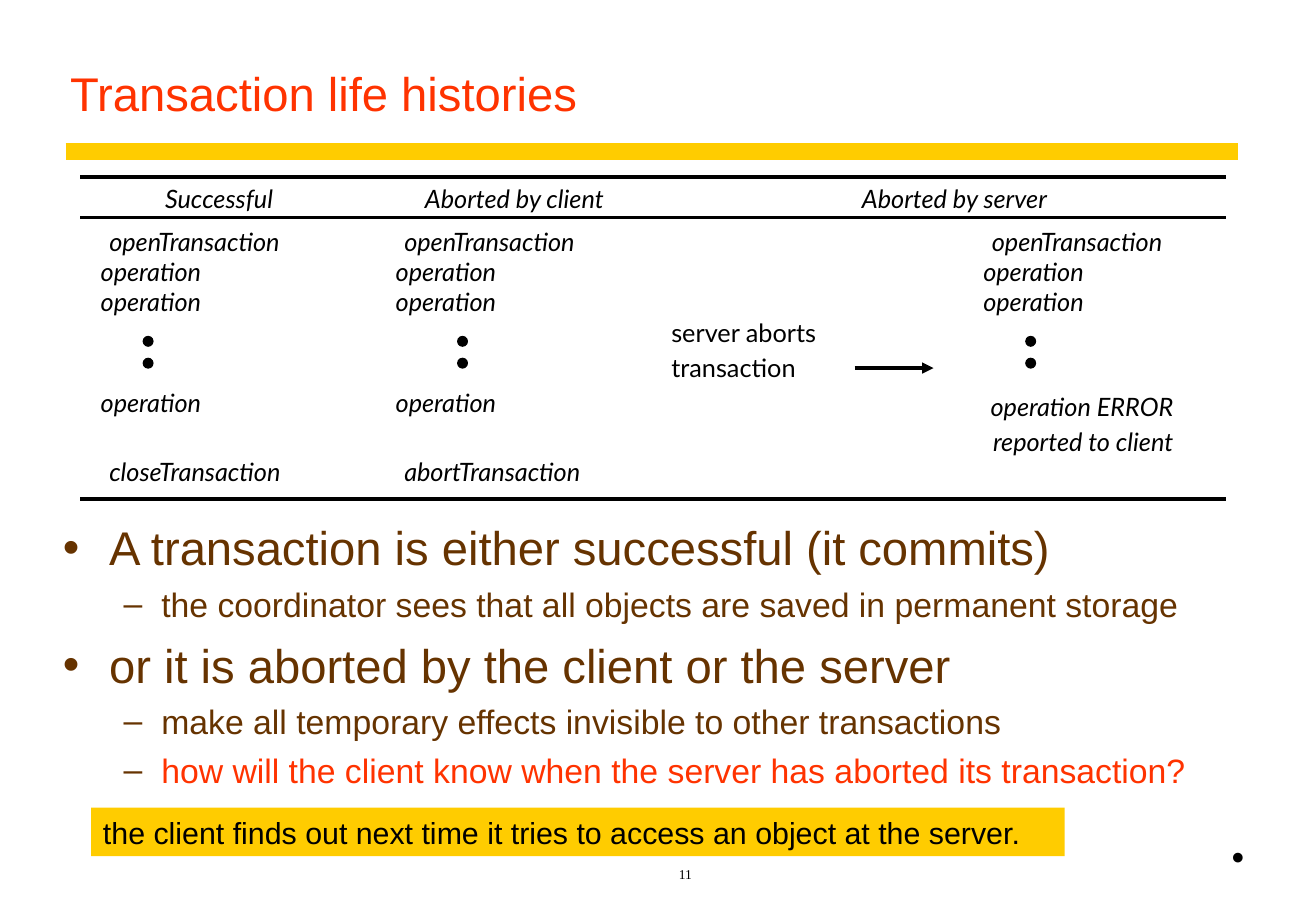
"""Build the slide on transaction life histories."""
from lxml import etree
from pptx import Presentation
from pptx.dml.color import RGBColor
from pptx.enum.shapes import MSO_CONNECTOR, MSO_SHAPE
from pptx.enum.text import MSO_ANCHOR, MSO_AUTO_SIZE, PP_ALIGN
from pptx.oxml.ns import qn
from pptx.util import Emu, Pt

STRAIGHT = MSO_CONNECTOR.STRAIGHT
OVAL, RECTANGLE = MSO_SHAPE.OVAL, MSO_SHAPE.RECTANGLE
TOP, BOTTOM = MSO_ANCHOR.TOP, MSO_ANCHOR.BOTTOM
GROW, FIXED = MSO_AUTO_SIZE.SHAPE_TO_FIT_TEXT, MSO_AUTO_SIZE.NONE
LEFT, CENTER = PP_ALIGN.LEFT, PP_ALIGN.CENTER
PX = 9144

THEME = {
    "black": RGBColor.from_string("000000"),
    "red": RGBColor.from_string("FF3300"),
    "brown": RGBColor.from_string("663300"),
    "yellow": RGBColor.from_string("FFCC00"),
    "sans": "Arial",
    "table_font": "Lato",
    "serif": "Times New Roman",
    "heading": 28,
    "detail": 20,
    "callout": 18,
    "table": 15,
    "corner": 24,
    "number": 8,
}

presentation = Presentation()
presentation.slide_width = Emu(1084 * PX)
presentation.slide_height = Emu(750 * PX)
slide = presentation.slides.add_slide(presentation.slide_layouts[6])


def write(shape, text, font, size, color="black", italic=False, margins=(10, 5),
          wrap=True, anchor=TOP, alignment=LEFT):
    frame = shape.text_frame
    frame.word_wrap = wrap
    frame.auto_size = FIXED if wrap else GROW
    frame.vertical_anchor = anchor
    frame.margin_left = frame.margin_right = Emu(margins[0] * PX)
    frame.margin_top = frame.margin_bottom = Emu(margins[1] * PX)
    paragraph = frame.paragraphs[0]
    paragraph.text = text
    paragraph.alignment = alignment
    paragraph.font.name = THEME[font]
    paragraph.font.size = Pt(THEME[size])
    paragraph.font.color.rgb = THEME[color]
    paragraph.font.italic = italic
    return paragraph


def draw_line(x1, x2, y, color, width):
    connector = slide.shapes.add_connector(
        STRAIGHT, Emu(x1 * PX), Emu(y * PX), Emu(x2 * PX), Emu(y * PX))
    connector.line.color.rgb = THEME[color]
    connector.line.width = Pt(width)
    etree.SubElement(connector._element.spPr, qn("a:effectLst"))
    return connector


draw_line(54, 1020, 125, "yellow", 10)

number = slide.shapes.add_textbox(Emu(235 * PX), Emu(700 * PX), Emu(659 * PX), Emu(31 * PX))
write(number, "11", "serif", "number", anchor=BOTTOM, alignment=CENTER)

title = slide.shapes.add_textbox(Emu(48 * PX), Emu(25 * PX), Emu(972 * PX), Emu(80 * PX))
heading = write(title, "Transaction life histories", "sans", "heading", "red", anchor=BOTTOM)
heading.line_spacing = 0.9

POINTS = [
    (0, "A transaction is either successful (it commits)", "brown"),
    (1, "the coordinator sees that all objects are saved in permanent storage", "brown"),
    (0, "or it is aborted by the client or the server", "brown"),
    (1, "make all temporary effects invisible to other transactions", "brown"),
    (1, "how will the client know when the server has aborted its transaction?", "red"),
]
LEVELS = [("•", 38, 38, 7, "heading"), ("–", 81, 31, 5, "detail")]

body = slide.shapes.add_textbox(Emu(42 * PX), Emu(422 * PX), Emu(969 * PX), Emu(236 * PX))
body.text_frame.word_wrap = True
for index, (level, text, color) in enumerate(POINTS):
    bullet, indent, hanging, space, size = LEVELS[level]
    paragraph = body.text_frame.add_paragraph() if index else body.text_frame.paragraphs[0]
    paragraph.text = text
    paragraph.level = level
    paragraph.space_before = Pt(space if index else 0)
    properties = paragraph._p.get_or_add_pPr()
    properties.set("marL", str(indent * PX))
    properties.set("indent", str(-hanging * PX))
    bullet_color = etree.SubElement(properties, qn("a:buClr"))
    etree.SubElement(bullet_color, qn("a:srgbClr"), val=str(THEME["brown"]))
    etree.SubElement(properties, qn("a:buFont"), typeface=THEME["sans"])
    etree.SubElement(properties, qn("a:buChar"), char=bullet)
    paragraph.font.name = THEME["sans"]
    paragraph.font.size = Pt(THEME[size])
    paragraph.font.color.rgb = THEME[color]

COLUMNS = [(83, "closeTransaction"), (326, "abortTransaction"), (810, None)]
CALL_INDENT = 7
labels = [
    (136, 151, 94, "Successful", True),
    (350, 151, 155, "Aborted by client", True),
    (710, 151, 162, "Aborted by server", True),
    (553, 261, 130, "server aborts", False),
    (553, 290, 111, "transaction", False),
    (816, 322, 157, "operation ERROR", True),
    (818, 351, 159, "reported to client", True),
]
for left, ending in COLUMNS:
    labels.append((left + CALL_INDENT, 186, 155, "openTransaction", True))
    labels += [(left, top, 90, "operation", True) for top in (211, 236)]
    if ending:
        labels.append((left, 319, 90, "operation", True))
        labels.append((left + CALL_INDENT, 376, 158, ending, True))

for left, top, width, text, italic in labels:
    label = slide.shapes.add_textbox(Emu(left * PX), Emu(top * PX), Emu(width * PX), Emu(25 * PX))
    write(label, text, "table_font", "table", italic=italic, margins=(0, 0), wrap=False)

for left in (118, 377, 845):
    for top in (277, 295):
        dot = slide.shapes.add_shape(OVAL, Emu(left * PX), Emu(top * PX), Emu(8 * PX), Emu(8 * PX))
        dot.shadow.inherit = False
        dot.fill.solid()
        dot.fill.fore_color.rgb = THEME["black"]
        dot.line.color.rgb = THEME["black"]
        dot.line.width = Pt(0.75)

arrow = draw_line(704, 769, 303, "black", 2.25)
etree.SubElement(arrow.line._get_or_add_ln(), qn("a:tailEnd"), type="triangle")
for y in (146, 179, 411):
    draw_line(66, 1010, y, "black", 2.25)

callout = slide.shapes.add_shape(
    RECTANGLE, Emu(75 * PX), Emu(665 * PX), Emu(802 * PX), Emu(40 * PX))
callout.shadow.inherit = False
callout.fill.solid()
callout.fill.fore_color.rgb = THEME["yellow"]
callout.line.fill.background()
write(callout, "the client finds out next time it tries to access an object at the server.",
      "sans", "callout")

corner = slide.shapes.add_textbox(Emu(1004 * PX), Emu(679 * PX), Emu(31 * PX), Emu(50 * PX))
write(corner, "•", "serif", "corner", wrap=False)

presentation.save("out.pptx")
